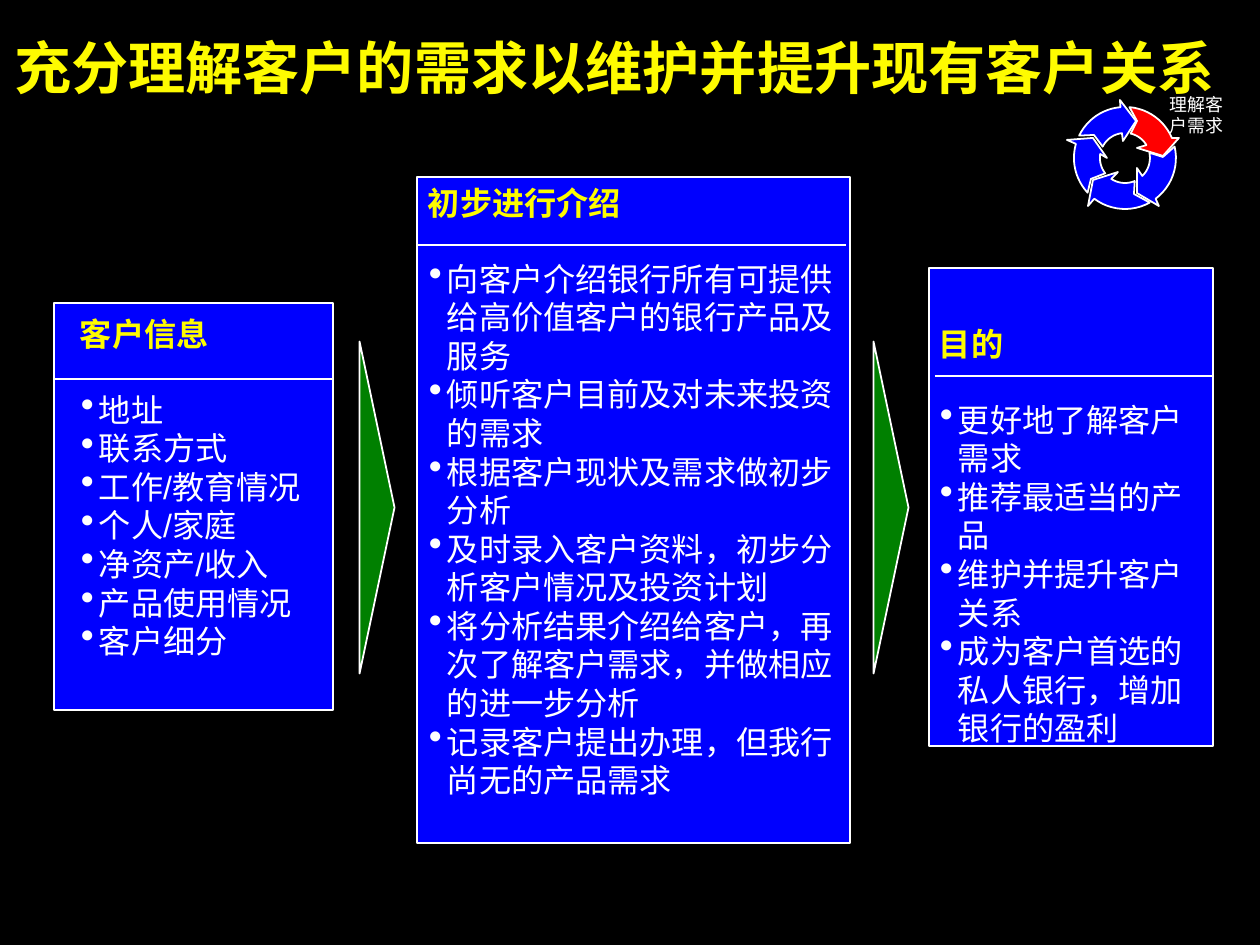
"""Build the slide on understanding customer needs."""
from dataclasses import dataclass
from math import cos, radians, sin

from lxml.etree import SubElement
from pptx import Presentation
from pptx.dml.color import RGBColor
from pptx.enum.shapes import MSO_CONNECTOR as Connector, MSO_SHAPE as Preset
from pptx.enum.text import MSO_ANCHOR as Anchor, MSO_AUTO_SIZE as AutoSize, PP_ALIGN as Align
from pptx.oxml.ns import qn
from pptx.util import Pt

EMU_PER_PX = 7112
Point = tuple[float, float]
Box = tuple[int, int, int, int]


@dataclass(frozen=True)
class Theme:
    font: str = "Arial"
    background: str = "000000"
    panel: str = "0000FE"
    outline: str = "FFFFFF"
    body: str = "FFFFFF"
    heading: str = "FEFB00"
    triangle: str = "008000"
    highlight: str = "FF0000"
    title_size: int = 32
    body_size: int = 18
    label_size: int = 10
    list_gap: int = 21
    line_width: int = 1


@dataclass(frozen=True)
class Panel:
    frame: Box
    text_box: Box
    rule: tuple[int, int, int]
    heading: str
    items: tuple[str, ...]


@dataclass(frozen=True)
class WheelArrow:
    outer: tuple[int, int]
    head: tuple[Point, Point, Point]
    inner: tuple[int, int]
    notch: Point
    color: str


THEME = Theme()
TITLE = "充分理解客户的需求以维护并提升现有客户关系"
PANELS = (
    Panel((417, 177, 433, 666), (428, 183, 415, 617), (418, 846, 245), "初步进行介绍", (
        "向客户介绍银行所有可提供给高价值客户的银行产品及服务",
        "倾听客户目前及对未来投资的需求",
        "根据客户现状及需求做初步分析",
        "及时录入客户资料，初步分析客户情况及投资计划",
        "将分析结果介绍给客户，再次了解客户需求，并做相应的进一步分析",
        "记录客户提出办理，但我行尚无的产品需求")),
    Panel((54, 303, 279, 407), (80, 314, 285, 391), (54, 333, 379), "客户信息", (
        "地址", "联系方式", "工作/教育情况", "个人/家庭",
        "净资产/收入", "产品使用情况", "客户细分")),
    Panel((929, 268, 284, 478), (939, 324, 261, 424), (935, 1213, 376), "目的", (
        "更好地了解客户需求", "推荐最适当的产品", "维护并提升客户关系",
        "成为客户首选的私人银行，增加银行的盈利")),
)
TRIANGLES: tuple[Box, ...] = ((211, 490, 332, 35), (725, 490, 332, 35))
WHEEL_CENTER = (1125, 158)
OUTER_RADIUS, INNER_RADIUS = 51, 25
WHEEL_ARROWS = (
    WheelArrow((-64, -5), ((1120, 100), (1136, 121), (1123, 141)), (-7, -63), (1094, 135), THEME.panel),
    WheelArrow((5, 67), ((1179, 138), (1163, 156), (1137, 148)), (59, 13), (1137, 121), THEME.highlight),
    WheelArrow((77, 143), ((1159, 206), (1137, 193), (1137, 168)), (136, 78), (1163, 157), THEME.panel),
    WheelArrow((151, 217), ((1088, 206), (1093, 180), (1118, 172)), (213, 157), (1134, 194), THEME.panel),
    WheelArrow((227, 286), ((1067, 140), (1093, 138), (1107, 158)), (279, 232), (1091, 179), THEME.panel),
)


def px(value: float) -> int:
    return round(value * EMU_PER_PX)


def rgb(color: str) -> RGBColor:
    return RGBColor.from_string(color)


def paint(shape, color: str) -> None:
    shape.shadow.inherit = False
    shape.fill.solid()
    shape.fill.fore_color.rgb = rgb(color)
    shape.line.color.rgb = rgb(THEME.outline)
    shape.line.width = Pt(THEME.line_width)


def add_preset(slide, preset, box: Box, color: str):
    shape = slide.shapes.add_shape(preset, *map(px, box))
    paint(shape, color)
    return shape


def add_rule(slide, left: int, right: int, y: int) -> None:
    connector = slide.shapes.add_connector(Connector.STRAIGHT, px(left), px(y), px(right), px(y))
    connector.line.color.rgb = rgb(THEME.outline)
    connector.line.width = Pt(THEME.line_width)
    SubElement(connector._element.spPr, qn("a:effectLst"))


def clear_frame(shape, anchor=Anchor.TOP):
    frame = shape.text_frame
    frame.word_wrap = True
    frame.auto_size = AutoSize.NONE
    frame.vertical_anchor = anchor
    frame.margin_left = frame.margin_top = frame.margin_right = frame.margin_bottom = 0
    return frame


def add_run(paragraph, text: str, size: int, color: str, bold: bool = False) -> None:
    paragraph.alignment = Align.LEFT
    run = paragraph.add_run()
    run.text = text
    run.font.name = THEME.font
    run.font.size = Pt(size)
    run.font.bold = bold
    run.font.color.rgb = rgb(color)


def add_bullet(paragraph) -> None:
    properties = paragraph._p.get_or_add_pPr()
    properties.set("marL", str(px(19)))
    properties.set("indent", str(px(-18)))
    color = SubElement(properties, qn("a:buClr"))
    SubElement(color, qn("a:srgbClr"), val=THEME.body)
    SubElement(properties, qn("a:buSzPct"), val="120000")
    SubElement(properties, qn("a:buChar"), char="•")


def add_panel(slide, panel: Panel) -> None:
    add_preset(slide, Preset.RECTANGLE, panel.frame, THEME.panel)
    add_rule(slide, *panel.rule)
    frame = clear_frame(slide.shapes.add_textbox(*map(px, panel.text_box)))
    add_run(frame.paragraphs[0], panel.heading, THEME.body_size, THEME.heading, True)
    for index, item in enumerate(panel.items):
        paragraph = frame.add_paragraph()
        add_bullet(paragraph)
        paragraph.space_before = Pt(0 if index else THEME.list_gap)
        add_run(paragraph, item, THEME.body_size, THEME.body)


def arc(radius: int, angles: tuple[int, int], steps: int = 12) -> list[Point]:
    start, end = angles
    turns = [radians(start + (end - start) * step / steps) for step in range(steps + 1)]
    center_x, center_y = WHEEL_CENTER
    return [(center_x + radius * sin(turn), center_y - radius * cos(turn)) for turn in turns]


def add_wheel_arrow(slide, arrow: WheelArrow) -> None:
    outline = [*arc(OUTER_RADIUS, arrow.outer), *arrow.head,
               *arc(INNER_RADIUS, arrow.inner), arrow.notch]
    points = [(px(x), px(y)) for x, y in outline]
    builder = slide.shapes.build_freeform(*points[0])
    builder.add_line_segments(points[1:], close=True)
    paint(builder.convert_to_shape(), arrow.color)


def add_title(slide) -> None:
    title = slide.shapes.title
    title.left, title.top, title.width, title.height = map(px, (14, 32, 1223, 68))
    paragraph = clear_frame(title).paragraphs[0]
    add_run(paragraph, TITLE, THEME.title_size, THEME.heading, True)


def main() -> None:
    presentation = Presentation()
    presentation.slide_width, presentation.slide_height = px(1260), px(945)
    slide = presentation.slides.add_slide(presentation.slide_layouts[5])
    slide.background.fill.solid()
    slide.background.fill.fore_color.rgb = rgb(THEME.background)
    add_title(slide)
    for panel in PANELS:
        add_panel(slide, panel)
    for box in TRIANGLES:
        add_preset(slide, Preset.ISOSCELES_TRIANGLE, box, THEME.triangle).rotation = 90
    for arrow in WHEEL_ARROWS:
        add_wheel_arrow(slide, arrow)
    label = slide.shapes.add_textbox(*map(px, (1170, 94, 64, 42)))
    paragraph = clear_frame(label, Anchor.MIDDLE).paragraphs[0]
    add_run(paragraph, "理解客户需求", THEME.label_size, THEME.body)
    presentation.save("out.pptx")


if __name__ == "__main__":
    main()
